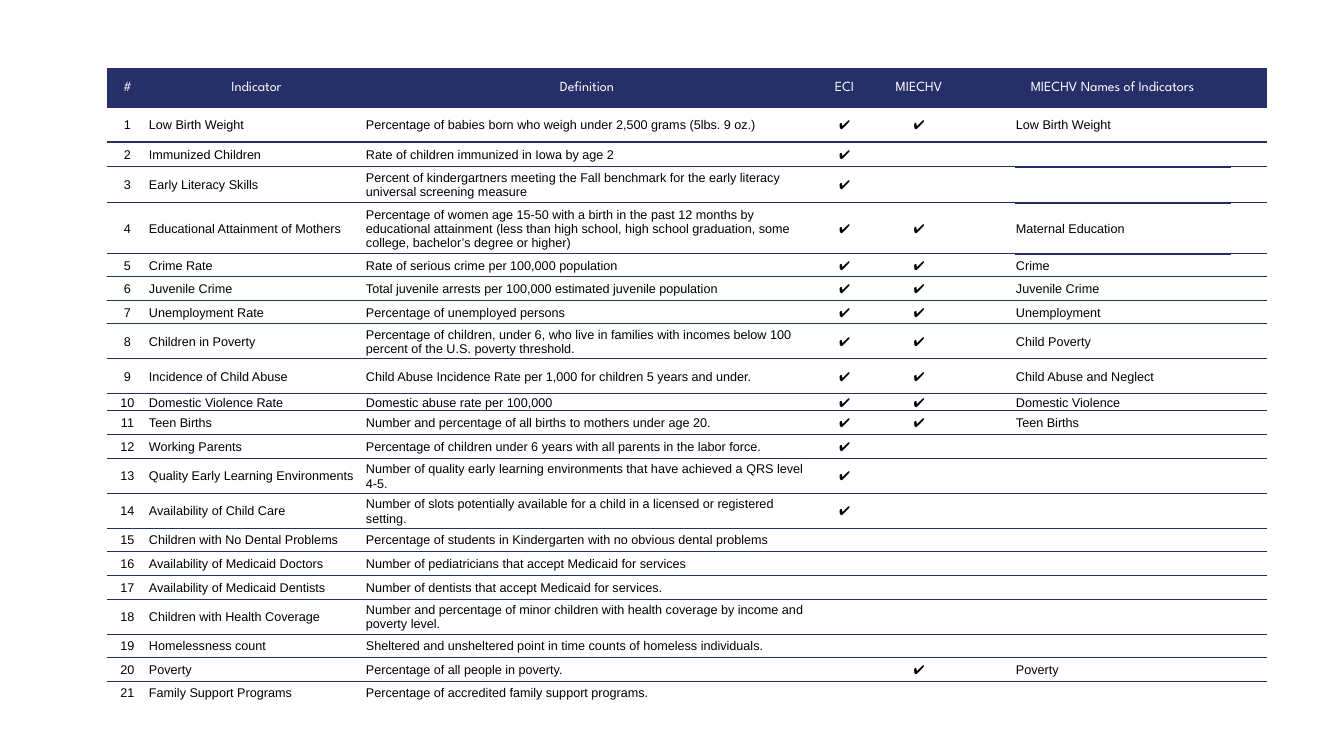
from dataclasses import dataclass

import lxml.etree
import pptx
import pptx.dml.color
import pptx.enum.text
import pptx.oxml.ns
import pptx.util


@dataclass(frozen=True)
class Theme:
    header_fill: str = "272F69"
    border: str = "262E68"
    white: str = "FFFFFF"
    black: str = "000000"
    header_font: str = "League Spartan"
    body_font: str = "Arial"
    header_size: int = 10
    body_size: int = 9
    border_width: int = 1


@dataclass(frozen=True)
class Indicator:
    height: int
    name: str
    definition: str
    eci: bool = False
    miechv_name: str = ""


THEME = Theme()
EMU_PER_PX = 914400 / 100.8
CHECK = "✔"
LEFT, TOP = 107, 68
HEADER_HEIGHT = 40
COLUMN_WIDTHS = [41, 217, 444, 71, 78, 309]
CENTERED_COLUMNS = {0, 3, 4}
NAMES_LEFT, NAMES_WIDTH = 1015, 216
HEADINGS = ["#", "Indicator", "Definition", "ECI", "MIECHV", "MIECHV Names of Indicators"]

INDICATORS = [
    Indicator(34, "Low Birth Weight", "Percentage of babies born who weigh under 2,500 grams (5lbs. 9 oz.)",
              True, "Low Birth Weight"),
    Indicator(25, "Immunized Children", "Rate of children immunized in Iowa by age 2", True),
    Indicator(36, "Early Literacy Skills", "Percent of kindergartners meeting the Fall benchmark "
              "for the early literacy universal screening measure", True),
    Indicator(51, "Educational Attainment of Mothers", "Percentage of women age 15-50 with a birth in the "
              "past 12 months by educational attainment (less than high school, high school graduation, "
              "some college, bachelor’s degree or higher)", True, "Maternal Education"),
    Indicator(23, "Crime Rate", "Rate of serious crime per 100,000 population", True, "Crime"),
    Indicator(24, "Juvenile Crime", "Total juvenile arrests per 100,000 estimated juvenile population",
              True, "Juvenile Crime"),
    Indicator(23, "Unemployment Rate", "Percentage of unemployed persons", True, "Unemployment"),
    Indicator(35, "Children in Poverty", "Percentage of children, under 6, who live in families with "
              "incomes below 100 percent of the U.S. poverty threshold.", True, "Child Poverty"),
    Indicator(35, "Incidence of Child Abuse", "Child Abuse Incidence Rate per 1,000 for children 5 years and under.",
              True, "Child Abuse and Neglect"),
    Indicator(17, "Domestic Violence Rate", "Domestic abuse rate per 100,000", True, "Domestic Violence"),
    Indicator(24, "Teen Births", "Number and percentage of all births to mothers under age 20.",
              True, "Teen Births"),
    Indicator(24, "Working Parents", "Percentage of children under 6 years with all parents in the labor force.", True),
    Indicator(35, "Quality Early Learning Environments", "Number of quality early learning environments "
              "that have achieved a QRS level 4-5.", True),
    Indicator(35, "Availability of Child Care", "Number of slots potentially available for a child "
              "in a licensed or registered setting.", True),
    Indicator(23, "Children with No Dental Problems",
              "Percentage of students in Kindergarten with no obvious dental problems"),
    Indicator(24, "Availability of Medicaid Doctors", "Number of pediatricians that accept Medicaid for services"),
    Indicator(24, "Availability of Medicaid Dentists", "Number of dentists that accept Medicaid for services."),
    Indicator(35, "Children with Health Coverage", "Number and percentage of minor children with health "
              "coverage by income and poverty level."),
    Indicator(23, "Homelessness count", "Sheltered and unsheltered point in time counts of homeless individuals."),
    Indicator(24, "Poverty", "Percentage of all people in poverty.", miechv_name="Poverty"),
    Indicator(23, "Family Support Programs", "Percentage of accredited family support programs."),
]


def px(length: int) -> pptx.util.Emu:
    return pptx.util.Emu(round(length * EMU_PER_PX))


def rgb(color: str) -> pptx.dml.color.RGBColor:
    return pptx.dml.color.RGBColor.from_string(color)


def write_text(cell, text: str, *, font: str = THEME.body_font, size: int = THEME.body_size,
               color: str = THEME.black, centered: bool = False) -> None:
    alignment = pptx.enum.text.PP_ALIGN
    paragraph = cell.text_frame.paragraphs[0]
    paragraph.alignment = alignment.CENTER if centered else alignment.LEFT
    if text:
        run = paragraph.add_run()
        run.text = text
        run.font.name = font
        run.font.size = pptx.util.Pt(size)
        run.font.color.rgb = rgb(color)
    else:
        end = lxml.etree.SubElement(paragraph._p, pptx.oxml.ns.qn("a:endParaRPr"))
        end.set("sz", str(size * 100))


def format_cell(cell, *, fill: str, ruled_sides: set[str]) -> None:
    cell.margin_left = cell.margin_right = cell.margin_top = px(1)
    cell.margin_bottom = 0
    cell.vertical_anchor = pptx.enum.text.MSO_ANCHOR.MIDDLE
    cell.fill.solid()
    cell.fill.fore_color.rgb = rgb(fill)
    qn = pptx.oxml.ns.qn
    properties = cell._tc.get_or_add_tcPr()
    for index, side in enumerate("LRTB"):
        line = lxml.etree.Element(qn(f"a:ln{side}"))
        if side in ruled_sides:
            line.set("w", str(pptx.util.Pt(THEME.border_width)))
            solid = lxml.etree.SubElement(line, qn("a:solidFill"))
            lxml.etree.SubElement(solid, qn("a:srgbClr")).set("val", THEME.border)
        else:
            line.set("w", "0")
            lxml.etree.SubElement(line, qn("a:noFill"))
        properties.insert(index, line)


def add_sized_table(slide, left: int, top: int, widths: list[int], heights: list[int]):
    table = slide.shapes.add_table(len(heights), len(widths), px(left), px(top),
                                   px(sum(widths)), px(sum(heights))).table
    table.first_row = table.horz_banding = False
    for column, width in zip(table.columns, widths):
        column.width = px(width)
    for row, height in zip(table.rows, heights):
        row.height = px(height)
    return table


def fill_body(table, rows: list[list[str]], *, first_row: int, centered_columns: set[int]) -> None:
    for index, texts in enumerate(rows):
        ruled_sides = set()
        if index > 0:
            ruled_sides.add("T")
        if index < len(rows) - 1:
            ruled_sides.add("B")
        for column, text in enumerate(texts):
            cell = table.cell(first_row + index, column)
            format_cell(cell, fill=THEME.white, ruled_sides=ruled_sides)
            write_text(cell, text, centered=column in centered_columns)


def add_indicator_table(slide, heights: list[int]) -> None:
    table = add_sized_table(slide, LEFT, TOP, COLUMN_WIDTHS, [HEADER_HEIGHT] + heights)
    for column, heading in enumerate(HEADINGS):
        cell = table.cell(0, column)
        format_cell(cell, fill=THEME.header_fill, ruled_sides=set())
        write_text(cell, heading, font=THEME.header_font, size=THEME.header_size,
                   color=THEME.white, centered=True)
    rows = [
        [str(number), indicator.name, indicator.definition, CHECK if indicator.eci else "",
         CHECK if indicator.miechv_name else "", ""]
        for number, indicator in enumerate(INDICATORS, start=1)
    ]
    fill_body(table, rows, first_row=1, centered_columns=CENTERED_COLUMNS)


def add_names_table(slide, heights: list[int]) -> None:
    table = add_sized_table(slide, NAMES_LEFT, TOP + HEADER_HEIGHT, [NAMES_WIDTH], heights)
    rows = [[indicator.miechv_name] for indicator in INDICATORS]
    fill_body(table, rows, first_row=0, centered_columns=set())


def main() -> None:
    presentation = pptx.Presentation()
    presentation.slide_width = px(1344)
    presentation.slide_height = px(756)
    slide = presentation.slides.add_slide(presentation.slide_layouts[6])
    heights = [indicator.height for indicator in INDICATORS]
    add_indicator_table(slide, heights)
    add_names_table(slide, heights)
    presentation.save("out.pptx")


if __name__ == "__main__":
    main()
